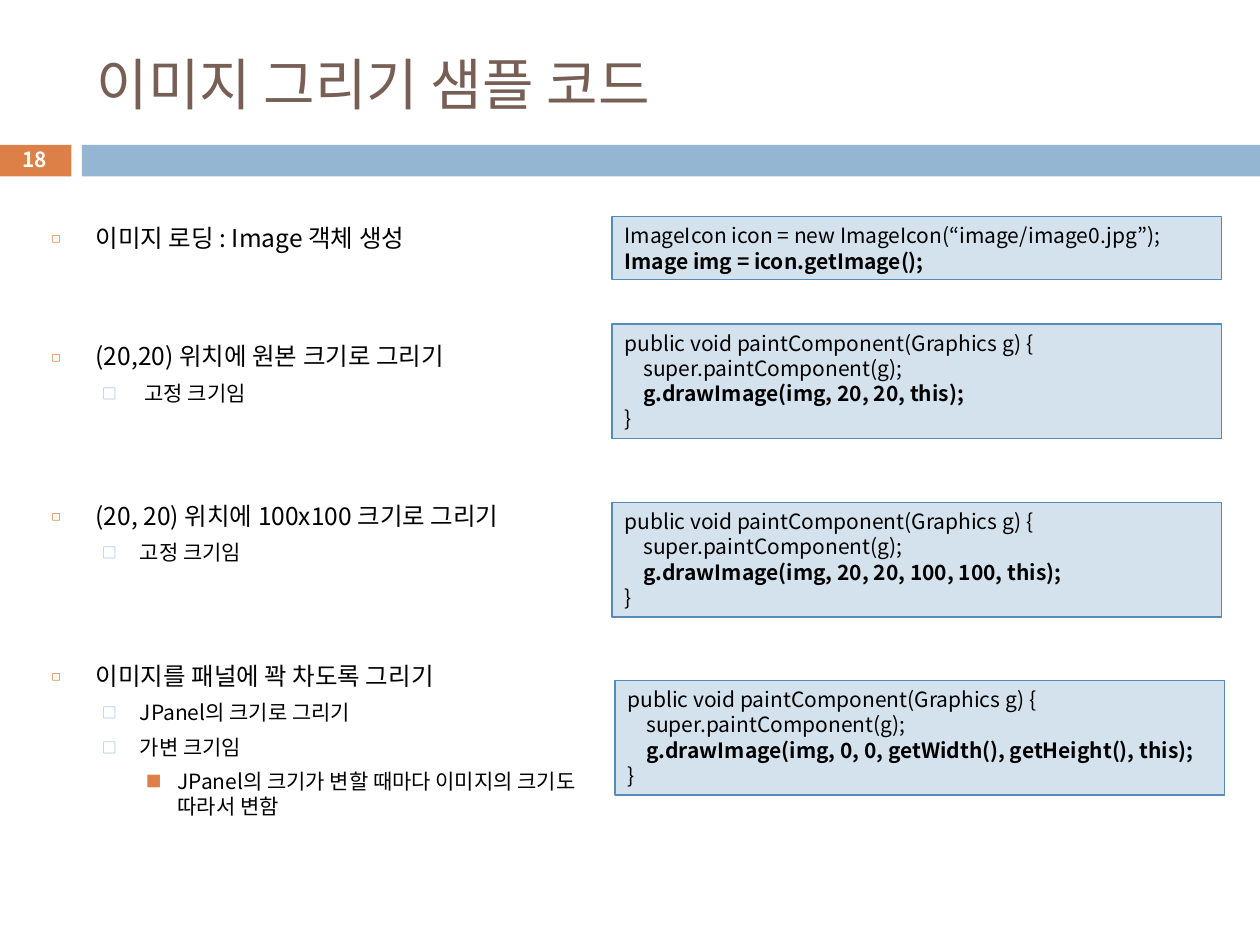
from lxml.etree import SubElement
from pptx import Presentation
from pptx.dml.color import RGBColor
from pptx.enum.shapes import MSO_SHAPE as Shape
from pptx.enum.text import MSO_ANCHOR as Anchor, PP_ALIGN as Align
from pptx.oxml.ns import qn
from pptx.util import Cm, Pt

COLORS = {
    "orange": "DD8047", "blue": "94B6D2", "brown": "775F55", "code": "D4E2ED",
    "outline": "558BB8", "text": "000000", "white": "FFFFFF",
}
FONT = "Noto Sans CJK KR"
LINE_HEIGHT = 1.2
# level: text size, left indent, hanging indent, space before, bullet, colour, bullet percent
LEVELS = (
    (14, 0.89, 0.89, 7, "◻", "orange", 60),
    (12, 1.78, 0.76, 5.5, "□", "blue", 70),
    (12, 2.54, 0.64, 5, "■", "orange", 75),
)
OUTLINE = (
    (0, "이미지 로딩 : Image 객체 생성", 0),
    (0, "(20,20) 위치에 원본 크기로 그리기", 43.7),
    (1, " 고정 크기임", 0),
    (0, "(20, 20) 위치에 100x100 크기로 그리기", 47.6),
    (1, "고정 크기임", 0),
    (0, "이미지를 패널에 꽉 차도록 그리기", 47.6),
    (1, "JPanel의 크기로 그리기", 0),
    (1, "가변 크기임", 0),
    (2, "JPanel의 크기가 변할 때마다 이미지의 크기도 따라서 변함", 0),
)
DRAW_CALLS = (
    (12.34, 6.53, "g.drawImage(img, 20, 20, this);"),
    (12.34, 10.13, "g.drawImage(img, 20, 20, 100, 100, this);"),
    (12.4, 13.72, "g.drawImage(img, 0, 0, getWidth(), getHeight(), this);"),
)


def color(name):
    return RGBColor.from_string(COLORS[name])


def write(frame, text, size=12, fill="text", bold=False, align=Align.LEFT,
          before=0, left=0, hanging=0, bullet=None):
    """Write one formatted paragraph into a text frame."""
    paragraph = frame.paragraphs[0]
    if paragraph.runs:
        paragraph = frame.add_paragraph()
    paragraph.alignment = align
    paragraph.line_spacing = Pt(size * LINE_HEIGHT)
    paragraph.space_before = Pt(before)
    run = paragraph.add_run()
    run.text = text
    run.font.size, run.font.bold, run.font.name = Pt(size), bold, FONT
    run.font.color.rgb = color(fill)
    SubElement(run.font._element, qn("a:ea"), typeface=FONT)
    properties = paragraph._p.get_or_add_pPr()
    properties.set("marL", str(Cm(left)))
    properties.set("indent", str(-Cm(hanging)))
    if bullet:
        character, bullet_color, percent = bullet
        holder = SubElement(properties, qn("a:buClr"))
        SubElement(holder, qn("a:srgbClr"), val=COLORS[bullet_color])
        SubElement(properties, qn("a:buSzPct"), val=str(percent * 1000))
        SubElement(properties, qn("a:buFont"), typeface=FONT)
        SubElement(properties, qn("a:buChar"), char=character)


class SlideBuilder:
    """Hold the current slide and add its styled elements."""

    def __init__(self, slide):
        self.slide = slide

    def bar(self, left, top, width, height, fill, line=None):
        shape = self.slide.shapes.add_shape(
            Shape.RECTANGLE, Cm(left), Cm(top), Cm(width), Cm(height))
        shape.shadow.inherit = False
        shape.fill.solid()
        shape.fill.fore_color.rgb = color(fill)
        if line:
            shape.line.color.rgb = color(line)
            shape.line.width = Pt(0.75)
        else:
            shape.line.fill.background()
        return shape

    def text_box(self, left, top, width, height, anchor=Anchor.MIDDLE):
        box = self.slide.shapes.add_textbox(Cm(left), Cm(top), Cm(width), Cm(height))
        box.text_frame.word_wrap = True
        box.text_frame.vertical_anchor = anchor
        return box.text_frame

    def outline(self, left, top, width, height, items):
        frame = self.text_box(left, top, width, height, Anchor.TOP)
        for level, text, gap in items:
            size, indent, hanging, before, *bullet = LEVELS[level]
            first = frame.paragraphs[0].runs == ()
            write(frame, text, size=size, before=0 if first else before + gap,
                  left=indent, hanging=hanging, bullet=bullet)

    def code(self, left, top, height, lines):
        frame = self.bar(left, top, 12.29, height, "code", "outline").text_frame
        frame.word_wrap = True
        frame.vertical_anchor = Anchor.TOP
        for text, indent, bold in lines:
            write(frame, text, left=indent, bold=bold)


def main():
    presentation = Presentation()
    presentation.slide_width, presentation.slide_height = Cm(25.4), Cm(19.05)
    slide = presentation.slides.add_slide(presentation.slide_layouts[6])
    builder = SlideBuilder(slide)

    builder.bar(-0.03, 2.92, 1.47, 0.64, "orange")
    builder.bar(1.65, 2.92, 23.75, 0.64, "blue")
    write(builder.text_box(1.7, 0.64, 22.66, 2.08), "이미지 그리기 샘플 코드",
          size=32, fill="brown")
    builder.outline(0.79, 4.37, 11.51, 13.06, OUTLINE)

    builder.code(12.34, 4.37, 1.27, (
        ("ImageIcon icon = new ImageIcon(“image/image0.jpg”);", 0, False),
        ("Image img = icon.getImage();", 0, True),
    ))
    for left, top, draw_call in DRAW_CALLS:
        builder.code(left, top, 2.31, (
            ("public void paintComponent(Graphics g) {", 0, False),
            ("super.paintComponent(g);", 0.38, False),
            (draw_call, 0.38, True),
            ("}", 0, False),
        ))
    write(builder.text_box(-0.03, 2.87, 1.47, 0.69), "18", size=11.9,
          fill="white", bold=True, align=Align.CENTER)
    presentation.save("out.pptx")


if __name__ == "__main__":
    main()
